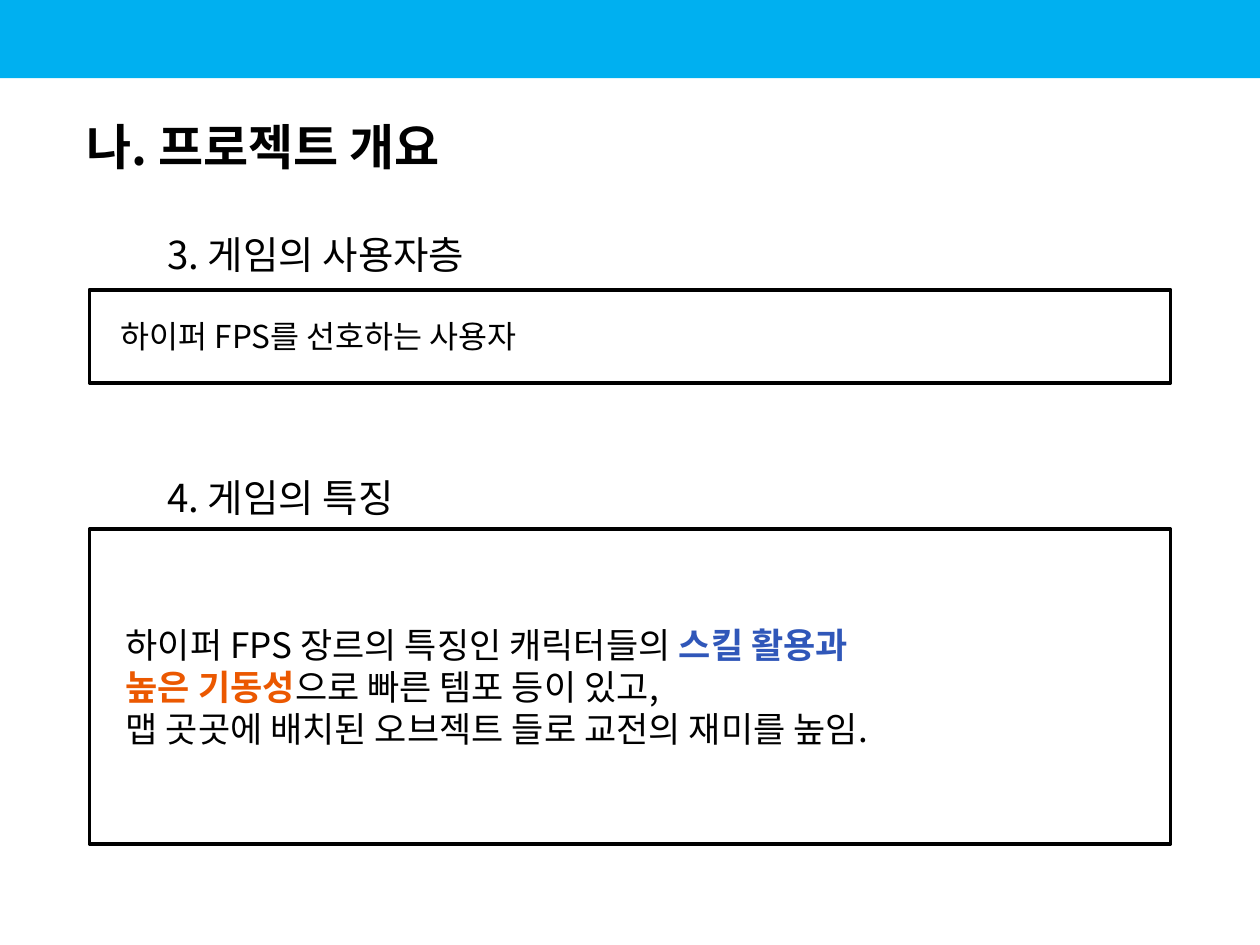
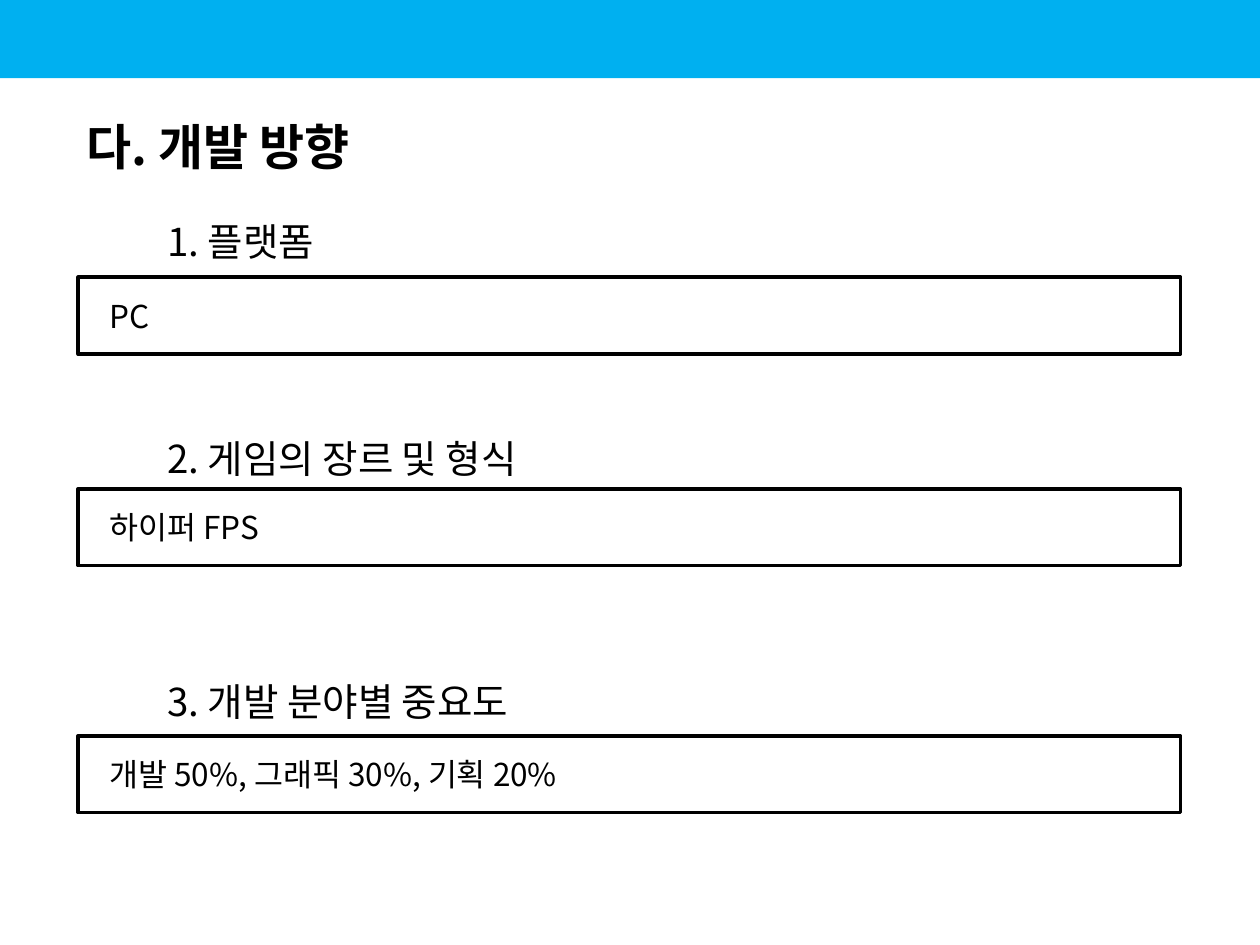
from lxml import etree
from pptx import Presentation
from pptx.dml.color import RGBColor
from pptx.enum.shapes import MSO_SHAPE
from pptx.enum.text import MSO_ANCHOR, PP_ALIGN
from pptx.oxml.ns import qn
from pptx.util import Inches, Pt

RECTANGLE = MSO_SHAPE.RECTANGLE
TOP, MIDDLE = MSO_ANCHOR.TOP, MSO_ANCHOR.MIDDLE
LEFT = PP_ALIGN.LEFT
SKY = RGBColor(0x00, 0xB0, 0xF0)
BLACK = RGBColor(0x00, 0x00, 0x00)
WHITE = RGBColor(0xFF, 0xFF, 0xFF)
BLUE = RGBColor(0x30, 0x57, 0xB9)
ORANGE = RGBColor(0xEB, 0x58, 0x00)
FONT = "Noto Sans CJK KR"
BLANK_LAYOUT = 6
SLIDE_WIDTH, SLIDE_HEIGHT = 10, 7.5


def write_text(shape, paragraphs, size, bold=False, anchor=MIDDLE, line_spacing=None):
    """Fill a shape with paragraphs, each a list of text or (text, colour) for bold accents."""
    frame = shape.text_frame
    frame.word_wrap = True
    frame.vertical_anchor = anchor
    for index, pieces in enumerate(paragraphs):
        paragraph = frame.add_paragraph() if index else frame.paragraphs[0]
        paragraph.alignment = LEFT
        if line_spacing:
            paragraph.line_spacing = Pt(line_spacing)
        for piece in pieces:
            accented = isinstance(piece, tuple)
            text, color = piece if accented else (piece, BLACK)
            run = paragraph.add_run()
            run.text = text
            run.font.size = Pt(size)
            run.font.bold = bold or accented
            run.font.color.rgb = color
            run.font.name = FONT
            east_asian = etree.SubElement(run.font._element, qn("a:ea"))
            east_asian.set("typeface", FONT)


def add_text(slide, text, box, **text_format):
    """Add a text box holding one line of text."""
    shape = slide.shapes.add_textbox(*map(Inches, box))
    write_text(shape, [[text]], **text_format)


def add_rectangle(slide, box, fill=None, line=None, line_width=2):
    """Add a flat rectangle with an optional fill and outline."""
    shape = slide.shapes.add_shape(RECTANGLE, *map(Inches, box))
    shape.shadow.inherit = False
    if fill is None:
        shape.fill.background()
    else:
        shape.fill.solid()
        shape.fill.fore_color.rgb = fill
    if line is None:
        shape.line.fill.background()
    else:
        shape.line.color.rgb = line
        shape.line.width = Pt(line_width)
    return shape


def add_titled_slide(presentation, title):
    """Add a slide with the top band and its title."""
    slide = presentation.slides.add_slide(presentation.slide_layouts[BLANK_LAYOUT])
    add_rectangle(slide, (0, 0, SLIDE_WIDTH, 0.62), fill=SKY)
    add_text(slide, title, (0.59, 0.75, 9.41, 0.81), size=28, bold=True)
    return slide


def add_section(slide, heading, heading_top, frame_box):
    """Add a section heading and the outlined frame below it."""
    add_text(slide, heading, (1.23, heading_top, 8.01, 0.72),
             size=22, anchor=TOP, line_spacing=39.6)
    add_rectangle(slide, frame_box, line=BLACK)


def add_answer(slide, text, frame_box):
    """Add one line of text centred vertically in a frame."""
    left, top, width, height = frame_box
    add_text(slide, text, (left + 0.15, top + (height - 0.4) / 2, width - 0.3, 0.4), size=18)


def add_features(slide, frame_box):
    """Add the highlighted game features in the middle of a frame."""
    left, top, width, height = frame_box
    shape = add_rectangle(slide, (left + 0.19, top + (height - 1.1) / 2, width - 0.38, 1.1),
                          line=WHITE, line_width=0.75)
    write_text(shape, [
        ["하이퍼 FPS 장르의 특징인 캐릭터들의 ", ("스킬 활용과", BLUE)],
        [("높은 기동성", ORANGE), "으로 빠른 템포 등이 있고,"],
        ["맵 곳곳에 배치된 오브젝트 들로 교전의 재미를 높임."],
    ], size=20, line_spacing=24)


def build_overview(presentation):
    """Build the project overview slide."""
    slide = add_titled_slide(presentation, "나. 프로젝트 개요")
    users_box = (0.71, 2.3, 8.58, 0.74)
    features_box = (0.71, 4.2, 8.58, 2.5)
    add_section(slide, "3. 게임의 사용자층", 1.6, users_box)
    add_answer(slide, "하이퍼 FPS를 선호하는 사용자", users_box)
    add_section(slide, "4. 게임의 특징", 3.53, features_box)
    add_features(slide, features_box)


def build_direction(presentation):
    """Build the development direction slide."""
    slide = add_titled_slide(presentation, "다. 개발 방향")
    sections = [
        ("1. 플랫폼", 1.5, 2.2, "PC"),
        ("2. 게임의 장르 및 형식", 3.22, 3.88, "하이퍼 FPS"),
        ("3. 개발 분야별 중요도", 5.15, 5.84, "개발 50%, 그래픽 30%, 기획 20%"),
    ]
    for heading, heading_top, frame_top, answer in sections:
        frame_box = (0.62, frame_top, 8.75, 0.61)
        add_section(slide, heading, heading_top, frame_box)
        add_answer(slide, answer, frame_box)


def main():
    """Build and save the presentation."""
    presentation = Presentation()
    presentation.slide_width = Inches(SLIDE_WIDTH)
    presentation.slide_height = Inches(SLIDE_HEIGHT)
    build_overview(presentation)
    build_direction(presentation)
    presentation.save("out.pptx")


if __name__ == "__main__":
    main()
